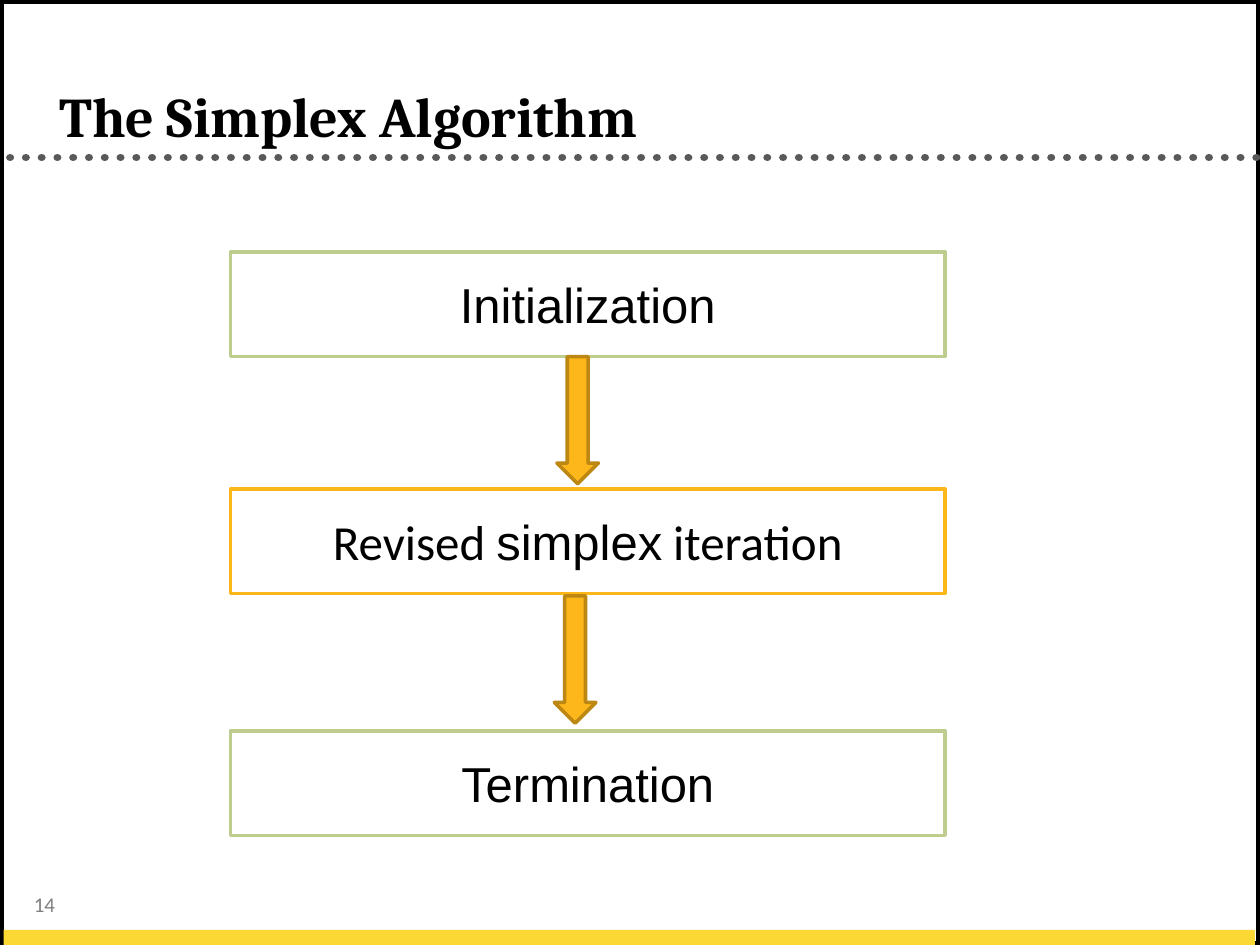
import pptx
import pptx.util
import pptx.dml.color
import pptx.enum.dml
import pptx.enum.shapes
import pptx.enum.text
import pptx.oxml.ns
import lxml.etree

Inches, Pt = pptx.util.Inches, pptx.util.Pt
RGBColor = pptx.dml.color.RGBColor
SHAPE = pptx.enum.shapes.MSO_SHAPE
ALIGN = pptx.enum.text.PP_ALIGN
ANCHOR = pptx.enum.text.MSO_ANCHOR

BLACK = RGBColor(0x00, 0x00, 0x00)
WHITE = RGBColor(0xFF, 0xFF, 0xFF)
GREY = RGBColor(0x7F, 0x7F, 0x7F)
DARK_GREY = RGBColor(0x59, 0x59, 0x59)
YELLOW = RGBColor(0xFB, 0xD8, 0x33)
GREEN = RGBColor(0xBE, 0xCC, 0x8D)
ORANGE = RGBColor(0xFE, 0xB7, 0x1A)
BROWN = RGBColor(0xBC, 0x87, 0x13)

TITLE = "The Simplex Algorithm"
PAGE = "14"
# Each step: top, outline colour, text pieces with their fonts
STEPS = [
    (2.0, GREEN, [("Initialization", "Arial")]),
    (3.88, ORANGE, [("Revised ", "Calibri"), ("simplex", "Arial"), (" iteration", "Calibri")]),
    (5.8, GREEN, [("Termination", "Arial")]),
]
ARROWS = [(4.42, 2.83), (4.4, 4.73)]

WIDTH, HEIGHT = 10, 7.5
STEP_LEFT, STEP_WIDTH, STEP_HEIGHT = 1.83, 5.67, 0.83
ARROW_WIDTH, ARROW_HEIGHT = 0.33, 1.01


def add_block(kind, left, top, width, height, fill, outline=None, weight=2):
    block = slide.shapes.add_shape(kind, *map(Inches, (left, top, width, height)))
    block.shadow.inherit = False
    block.fill.solid()
    block.fill.fore_color.rgb = fill
    if outline is None:
        block.line.fill.background()
    else:
        block.line.color.rgb = outline
        block.line.width = Pt(weight)
    return block


def write(frame, pieces, size, color, align, anchor, bold=False):
    """Fill the first paragraph with (text, font name) pieces."""
    frame.word_wrap = True
    frame.vertical_anchor = anchor
    paragraph = frame.paragraphs[0]
    paragraph.alignment = align
    for text, font_name in pieces:
        run = paragraph.add_run()
        run.text = text
        run.font.color.rgb = color
        for key, value in {"name": font_name, "size": Pt(size), "bold": bold}.items():
            setattr(run.font, key, value)


deck = pptx.Presentation()
deck.slide_width, deck.slide_height = Inches(WIDTH), Inches(HEIGHT)
slide = deck.slides.add_slide(deck.slide_layouts[5])

border = add_block(SHAPE.RECTANGLE, 0, 0, WIDTH, HEIGHT, WHITE, BLACK, 4.5)
slide.shapes._spTree.insert(2, border._element)  # behind the title

page_number = slide.shapes.add_textbox(*map(Inches, (0.17, 7.03, 0.92, 0.55)))
write(page_number.text_frame, [(PAGE, "Calibri")], 12, GREY, ALIGN.LEFT, ANCHOR.TOP)

divider = slide.shapes.add_connector(
    pptx.enum.shapes.MSO_CONNECTOR.STRAIGHT, *map(Inches, (0.08, 1.25, WIDTH, 1.25)))
divider.line.color.rgb = DARK_GREY
divider.line.width = Pt(4.5)
divider.line.dash_style = pptx.enum.dml.MSO_LINE.ROUND_DOT
divider.line._get_or_add_ln().set("cap", "rnd")
lxml.etree.SubElement(divider._element.spPr, pptx.oxml.ns.qn("a:effectLst"))

add_block(SHAPE.RECTANGLE, 0.03, 7.38, 9.93, 0.12, YELLOW)

title = slide.shapes.title
for side, value in {"left": 0.37, "top": 0.3, "width": 9.3, "height": 0.93}.items():
    setattr(title, side, Inches(value))
write(title.text_frame, [(TITLE, "Cambria")], 32, BLACK, ALIGN.LEFT, ANCHOR.BOTTOM, bold=True)

for top, outline, pieces in STEPS:
    step = add_block(SHAPE.RECTANGLE, STEP_LEFT, top, STEP_WIDTH, STEP_HEIGHT, WHITE, outline)
    write(step.text_frame, pieces, 28, BLACK, ALIGN.CENTER, ANCHOR.MIDDLE)

for left, top in ARROWS:
    add_block(SHAPE.DOWN_ARROW, left, top, ARROW_WIDTH, ARROW_HEIGHT, ORANGE, BROWN)

deck.save("out.pptx")
